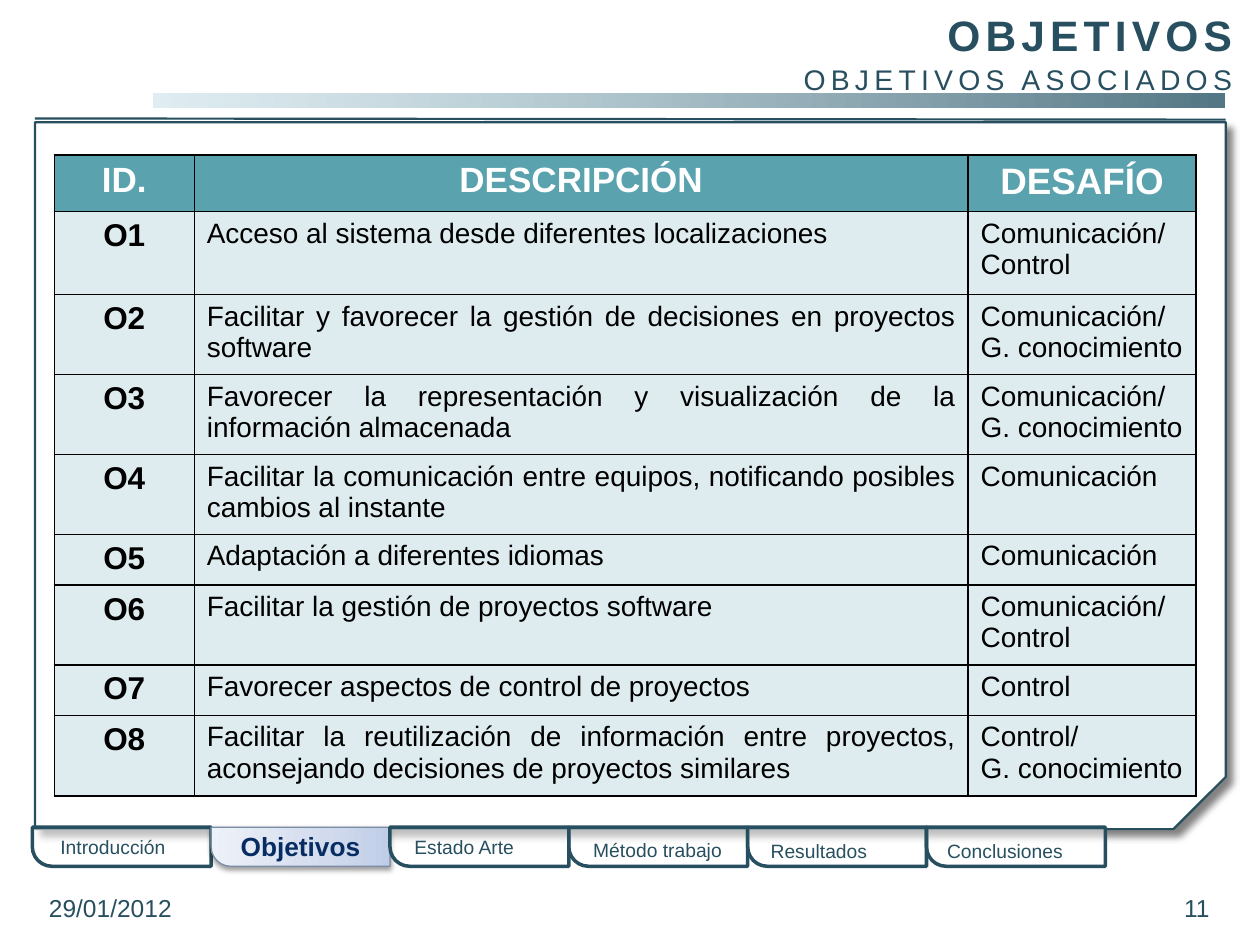
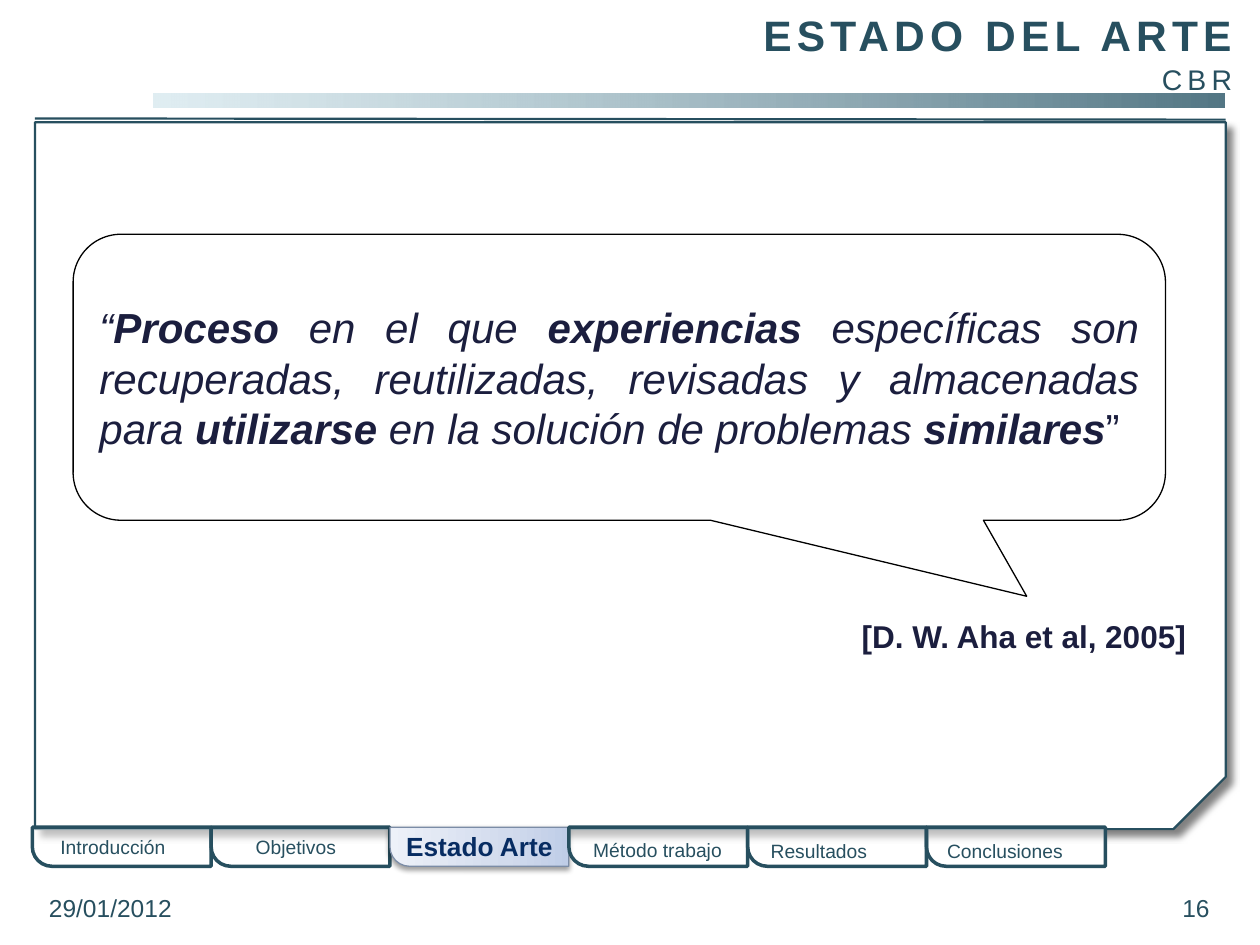
from pptx import Presentation
from pptx.dml.color import RGBColor
from pptx.enum.shapes import MSO_CONNECTOR, MSO_SHAPE
from pptx.enum.text import MSO_ANCHOR, MSO_AUTO_SIZE, PP_ALIGN
from pptx.oxml import parse_xml
from pptx.oxml.ns import nsdecls, qn
from pptx.util import Pt

TEAL, NAVY, INK, BLACK, WHITE = "274F5F", "072C62", "1B1E3E", "000000", "FFFFFF"
HEADER_FILL, BODY_FILL = "5AA2AE", "DEECEF"
ACTIVE_STOPS = [(0, "BFCDE7", 100), (35, "D2DBED", 100), (100, "EDF1F9", 100)]
BAR_STOPS = [(0, "D0E5EC", 66), (100, "547785", 100)]
TAB_WIDTH, TAB_HEIGHT = 102.2, 22.3
TABS = [
    ("Introducción", 9, 1, 108.7),
    ("Objetivos", 18.4, 1, 74.9),
    ("Estado Arte", 6.9, 1, 74.9),
    ("Método trabajo", 6.9, 2.5, 95.8),
    ("Resultados", 6.1, 3.2, 74.9),
    ("Conclusiones", 4.7, 3.2, 90.7),
]
COLUMN_WIDTHS = [80, 442.2, 130.3]
ROW_HEIGHTS = [32.5, 47.4, 45.7, 45.7, 45.5, 29, 45.5, 28.6, 46.2]
GOALS = [
    ("ID.", "DESCRIPCIÓN", "DESAFÍO"),
    ("O1", "Acceso al sistema desde diferentes localizaciones", "Comunicación/Control"),
    ("O2", "Facilitar y favorecer la gestión de decisiones en proyectos software",
     "Comunicación/G. conocimiento"),
    ("O3", "Favorecer la representación y visualización de la información almacenada",
     "Comunicación/G. conocimiento"),
    ("O4", "Facilitar la comunicación entre equipos, notificando posibles cambios al instante",
     "Comunicación"),
    ("O5", "Adaptación a diferentes idiomas", "Comunicación"),
    ("O6", "Facilitar la gestión de proyectos software", "Comunicación/Control"),
    ("O7", "Favorecer aspectos de control de proyectos", "Control"),
    ("O8", "Facilitar la reutilización de información entre proyectos, "
     "aconsejando decisiones de proyectos similares", "Control/\nG. conocimiento"),
]
QUOTE = [
    ("“", {}), ("Proceso ", {"bold": True}), ("en el que ", {}),
    ("experiencias", {"bold": True}),
    (" específicas son recuperadas, reutilizadas, revisadas y almacenadas para ", {}),
    ("utilizarse", {"bold": True}), (" en la solución de problemas ", {}),
    ("similares", {"bold": True}), ("”", {"italic": False}),
]


def color(code):
    """Turn a hex string into a colour."""
    return RGBColor.from_string(code)


def apply(target, values):
    """Set each named attribute of the target."""
    for name, value in values.items():
        setattr(target, name, value)


def points(*lengths):
    """Turn numbers into lengths in points."""
    return [Pt(length) for length in lengths]


def add_span(para, text, size, code, **values):
    """Append a formatted run to a paragraph."""
    span = para.add_run()
    span.text = text
    apply(span.font, {"name": "Arial", "size": Pt(size), "bold": False, **values})
    span.font.color.rgb = color(code)
    return span


def add_label(page, box, text, size, code, align=PP_ALIGN.LEFT, frame_values=None, **values):
    """Place one line of text in a box."""
    frame = page.shapes.add_textbox(*points(*box)).text_frame
    apply(frame, {"word_wrap": True, **(frame_values or {})})
    para = frame.paragraphs[0]
    para.alignment = align
    add_span(para, text, size, code, **values)


def paint(shape, stops, angle=0):
    """Fill a shape with one colour or a gradient, each stop having an opacity."""
    colors = [
        f'<a:srgbClr val="{code}"><a:alpha val="{opacity * 1000}"/></a:srgbClr>'
        for _, code, opacity in stops
    ]
    if len(stops) == 1:
        xml = f'<a:solidFill {nsdecls("a")}>{colors[0]}</a:solidFill>'
    else:
        marks = "".join(
            f'<a:gs pos="{stop[0] * 1000}">{mark}</a:gs>' for stop, mark in zip(stops, colors)
        )
        xml = (f'<a:gradFill {nsdecls("a")} rotWithShape="1"><a:gsLst>{marks}</a:gsLst>'
               f'<a:lin ang="{angle * 60000}" scaled="0"/></a:gradFill>')
    shape._element.spPr.find(qn("a:prstGeom")).addnext(parse_xml(xml))


def cast_shadow(shape, opacity, blur, distance, angle):
    """Give a shape a black outer shadow."""
    shape._element.spPr.find(qn("a:effectLst")).append(parse_xml(
        f'<a:outerShdw {nsdecls("a")} blurRad="{Pt(blur)}" dist="{Pt(distance)}" '
        f'dir="{angle * 60000}" algn="ctr" rotWithShape="0"><a:srgbClr val="{BLACK}">'
        f'<a:alpha val="{opacity * 1000}"/></a:srgbClr></a:outerShdw>'))


def add_form(page, kind, box, stops, angle=0, line=None, adjustments=(), flip=None):
    """Add a preset shape with its fill, outline, adjustments and flip."""
    shape = page.shapes.add_shape(kind, *points(*box))
    shape.shadow.inherit = False
    for index, value in enumerate(adjustments):
        shape.adjustments[index] = value
    paint(shape, stops, angle)
    if line:
        shape.line.color.rgb, shape.line.width = color(line[0]), Pt(line[1])
    else:
        shape.line.fill.background()
    if flip:
        shape._element.spPr.find(qn("a:xfrm")).set(flip, "1")
    return shape


def add_heading(page, box, title, subtitle):
    """Format the title placeholder as a spaced title over a subtitle."""
    heading = page.shapes.title
    apply(heading, dict(zip(("left", "top", "width", "height"), points(*box))))
    frame = heading.text_frame
    apply(frame, {"auto_size": MSO_AUTO_SIZE.NONE, "word_wrap": True,
                  "vertical_anchor": MSO_ANCHOR.TOP, "margin_top": Pt(5)})
    lines = [(title, 24.3, True, 0), (subtitle, 16.2, False, 1.5)]
    for index, (text, size, bold, gap) in enumerate(lines):
        para = frame.add_paragraph() if index else frame.paragraphs[0]
        apply(para, {"alignment": PP_ALIGN.RIGHT, "space_before": Pt(gap)})
        span = add_span(para, text, size, TEAL, bold=bold)
        span.font._element.set("spc", "300")


def add_panel(page, box):
    """Draw the gradient bar, the rule and the snipped panel in a box."""
    left, top, width, height = box
    add_form(page, MSO_SHAPE.RECTANGLE, (left + 67.7, top, width - 68.4, 8), BAR_STOPS)
    panel = add_form(page, MSO_SHAPE.SNIP_1_RECTANGLE, (left, top + 16.6, width, height - 16.6),
                     [(0, WHITE, 100)], line=(TEAL, 1.25), adjustments=[0.074], flip="flipV")
    cast_shadow(panel, 50, 4, 5, 45)
    rule = page.shapes.add_connector(
        MSO_CONNECTOR.STRAIGHT, *points(left, top + 14.4, left + width, top + 15.1))
    rule.line.color.rgb, rule.line.width = color(TEAL), Pt(1.25)
    rule._element.spPr.append(parse_xml(f'<a:effectLst {nsdecls("a")}/>'))


def add_tabs(page, left, top, active):
    """Lay out the row of section tabs with one of them active."""
    inset = (TAB_WIDTH - TAB_HEIGHT) / 2
    for index, (name, offset, drop, width) in enumerate(TABS):
        tab_left = left + index * TAB_WIDTH
        chosen = name == active
        box = (tab_left + inset, top - inset, TAB_HEIGHT, TAB_WIDTH)
        tab = add_form(page, MSO_SHAPE.ROUND_1_RECTANGLE, box,
                       ACTIVE_STOPS if chosen else [(0, WHITE, 50)], angle=270,
                       line=("7B8CA6", 0.75) if chosen else (TEAL, 2),
                       adjustments=[0.5], flip="flipH")
        tab.rotation = 270
        if chosen:
            cast_shadow(tab, 38, 3.1, 1.6, 90)
            add_label(page, (tab_left, top - 1.8, TAB_WIDTH, 25.2), name, 15, NAVY,
                      PP_ALIGN.CENTER, {"margin_left": 0, "margin_right": 0}, bold=True)
        else:
            add_label(page, (tab_left + offset, top + drop, width, 20.9), name, 11, TEAL)


def add_footer(page, box, number):
    """Put the date at the left and the page number at the right of a box."""
    left, top, width, height = box
    half = 167.8
    frame_values = {"vertical_anchor": MSO_ANCHOR.MIDDLE}
    for side in ("left", "right"):
        frame_values[f"margin_{side}"] = Pt(8.6)
    add_label(page, (left, top, half, height), "29/01/2012", 14, TEAL, PP_ALIGN.LEFT, frame_values)
    add_label(page, (left + width - half, top, half, height), number, 14, TEAL,
              PP_ALIGN.RIGHT, frame_values)


def format_cell(cell, text, fill, size, code, bold, align):
    """Border, fill and write one table cell."""
    properties = cell._tc.get_or_add_tcPr()
    for side in ("lnL", "lnR", "lnT", "lnB"):
        properties.append(parse_xml(
            f'<a:{side} {nsdecls("a")} w="{Pt(1)}"><a:solidFill><a:srgbClr val="{BLACK}"/>'
            f'</a:solidFill></a:{side}>'))
    cell.fill.solid()
    cell.fill.fore_color.rgb = color(fill)
    frame = cell.text_frame
    for index, line in enumerate(text.split("\n")):
        para = frame.add_paragraph() if index else frame.paragraphs[0]
        para.alignment = align
        add_span(para, line, size, code, bold=bold)


def add_goals(page, left, top):
    """Build the table of goals and the challenges they answer."""
    box = points(left, top, sum(COLUMN_WIDTHS), sum(ROW_HEIGHTS))
    table = page.shapes.add_table(len(GOALS), len(COLUMN_WIDTHS), *box).table
    for column, width in zip(table.columns, COLUMN_WIDTHS):
        column.width = Pt(width)
    for row, height in zip(table.rows, ROW_HEIGHTS):
        row.height = Pt(height)
    for row_index, goal in enumerate(GOALS):
        for column_index, text in enumerate(goal):
            if row_index == 0:
                size = 21 if column_index == 2 else 20
                style = (HEADER_FILL, size, WHITE, True, PP_ALIGN.CENTER)
            elif column_index == 0:
                style = (BODY_FILL, 18, BLACK, True, PP_ALIGN.CENTER)
            else:
                style = (BODY_FILL, 16, BLACK, False, PP_ALIGN.JUSTIFY)
            format_cell(table.cell(row_index, column_index), text, *style)


def add_quote(page, box):
    """Draw the quotation balloon with its citation below."""
    left, top, width, height = box
    balloon = add_form(page, MSO_SHAPE.ROUNDED_RECTANGULAR_CALLOUT, box, [(0, WHITE, 100)],
                       line=(BLACK, 0.75), adjustments=[0.373, 0.766, 0.167])
    frame = balloon.text_frame
    apply(frame, {"word_wrap": True, "vertical_anchor": MSO_ANCHOR.MIDDLE})
    para = frame.paragraphs[0]
    para.alignment = PP_ALIGN.JUSTIFY
    for text, values in QUOTE:
        add_span(para, text, 24, INK, **{"italic": True, **values})
    add_label(page, (left + 443.5, top + height + 51.8, 230, 28.8),
              "[D. W. Aha et al, 2005]", 18, INK, bold=True)


def add_page(deck, title, subtitle, section, number):
    """Add a slide with the heading, panel, tabs and footer."""
    page = deck.slides.add_slide(deck.slide_layouts[5])
    add_heading(page, (87.8, 0, 623.5, 51.1), title, subtitle)
    add_panel(page, (20, 53.3, 680.4, 420.5))
    add_tabs(page, 18.4, 472.7, section)
    add_footer(page, (19.4, 508.3, 680.4, 20.9), number)
    return page


def main():
    """Build and save the deck."""
    deck = Presentation()
    deck.slide_width, deck.slide_height = points(720, 540)
    goals_page = add_page(deck, "OBJETIVOS", "OBJETIVOS ASOCIADOS", "Objetivos", "11")
    add_goals(goals_page, 31, 88.5)
    quote_page = add_page(deck, "ESTADO DEL ARTE", "CBR", "Estado Arte", "16")
    add_quote(quote_page, (41.8, 133.9, 624.2, 163.4))
    deck.save("out.pptx")


if __name__ == "__main__":
    main()
